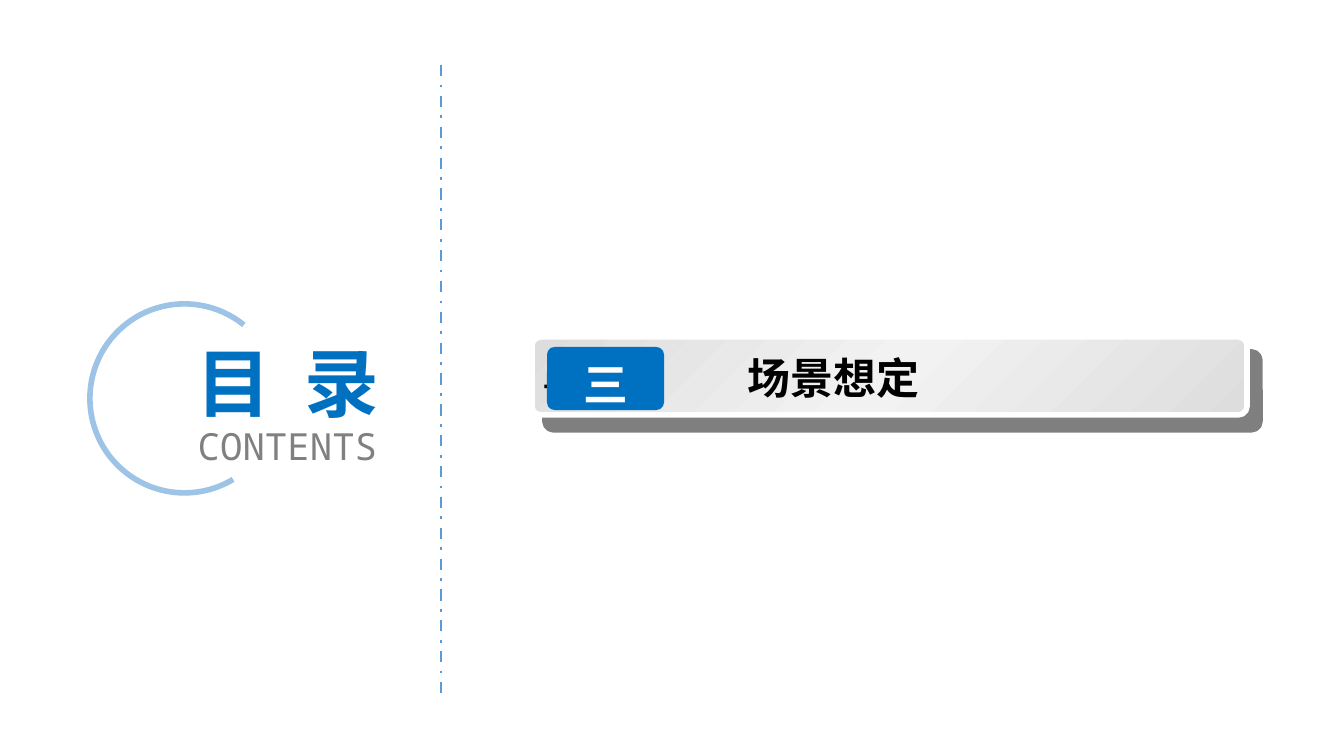
from dataclasses import dataclass

from lxml import etree
from pptx import Presentation
from pptx import util as u
from pptx.dml.color import RGBColor
from pptx.enum import dml, shapes, text
from pptx.oxml import ns

EMU_PER_PX = 914400 / 134.4


@dataclass(frozen=True)
class Theme:
    blue: str = "0070C0"
    arc: str = "9DC3E6"
    divider: str = "5B9BD5"
    grey: str = "808080"
    silver: str = "DDDDDD"
    pale: str = "F2F2F2"
    black: str = "000000"
    white: str = "FFFFFF"
    latin: str = "Calibri"
    mono: str = "Noto Sans Mono"
    cjk: str = "Noto Sans CJK SC"
    heading: int = 40
    badge: int = 24
    section: int = 23
    subheading: int = 20
    small: int = 18


THEME = Theme()


@dataclass(frozen=True)
class Box:
    left: int
    top: int
    width: int
    height: int

    def emu(self) -> list[u.Emu]:
        return [px(n) for n in (self.left, self.top, self.width, self.height)]


@dataclass(frozen=True)
class Style:
    size: int
    color: str
    face: str = THEME.cjk
    bold: bool = True


def px(length: int) -> u.Emu:
    return u.Emu(round(length * EMU_PER_PX))


def rgb(color: str) -> RGBColor:
    return RGBColor.from_string(color)


def apply(target, values: dict) -> None:
    for name, value in values.items():
        setattr(target, name, value)


def child(parent, tag: str, **attributes):
    return etree.SubElement(parent, ns.qn(tag), **attributes)


def write(paragraph, words: str, style: Style, **layout):
    """Add one styled run and set the paragraph's layout."""
    apply(paragraph, layout)
    run = paragraph.add_run()
    run.text = words
    apply(run.font, {"size": u.Pt(style.size), "bold": style.bold, "name": style.face})
    run.font.color.rgb = rgb(style.color)
    child(run.font._element, "a:ea", typeface=THEME.cjk)
    return run


def frame_text(shape, insets: tuple[int, int, int, int], wrap: bool, fit=text.MSO_AUTO_SIZE.NONE):
    """Set insets (left, top, right, bottom) and return the first paragraph."""
    sides = ("margin_left", "margin_top", "margin_right", "margin_bottom")
    frame = shape.text_frame
    apply(frame, dict(zip(sides, map(px, insets))))
    apply(frame, {"word_wrap": wrap, "auto_size": fit,
                  "vertical_anchor": text.MSO_ANCHOR.MIDDLE})
    return frame.paragraphs[0]


def add_preset(slide, kind, box: Box, adjustments: list[float]):
    shape = slide.shapes.add_shape(kind, *box.emu())
    for index, value in enumerate(adjustments):
        shape.adjustments[index] = value
    shape.shadow.inherit = False
    return shape


def add_divider(slide, x: int, top: int, bottom: int) -> None:
    divider = slide.shapes.add_connector(
        shapes.MSO_CONNECTOR.STRAIGHT, px(x), px(top), px(x), px(bottom))
    apply(divider.line, {"width": u.Pt(1.5), "dash_style": dml.MSO_LINE.DASH_DOT})
    divider.line.color.rgb = rgb(THEME.divider)
    child(divider._element.spPr, "a:effectLst")


def paint_metal(bar) -> None:
    """Give the bar its silver sheen, white rim and hard offset shadow."""
    bar.fill.gradient()
    bar.fill.gradient_angle = 315
    properties = bar._element.spPr
    stops = properties.find(".//" + ns.qn("a:gsLst"))
    for stop in list(stops):
        stops.remove(stop)
    for percent, color in ((0, THEME.silver), (50, THEME.pale), (100, THEME.silver)):
        child(child(stops, "a:gs", pos=str(percent * 1000)), "a:srgbClr", val=color)
    bar.line.color.rgb = rgb(THEME.white)
    bar.line.width = u.Pt(3)
    shadow = child(properties.find(ns.qn("a:effectLst")), "a:outerShdw", blurRad="0",
                   dist=str(u.Pt(10.6)), dir=str(49 * 60000), algn="ctr", rotWithShape="0")
    child(child(shadow, "a:srgbClr", val=THEME.black), "a:alpha", val="50000")


def add_contents_heading(slide) -> None:
    title = slide.shapes.title
    apply(title, dict(zip(("left", "top", "width", "height"), Box(113, 305, 349, 206).emu())))
    chinese = frame_text(title, (13, 7, 13, 7), True)
    layout = {"alignment": text.PP_ALIGN.CENTER, "line_spacing": 0.9, "space_before": u.Pt(0)}
    heading = Style(THEME.heading, THEME.blue, THEME.latin)
    write(chinese, "目", heading, **layout)
    gap = write(chinese, " ", heading)
    gap.font._element.set("spc", "900")
    write(chinese, "录", heading)
    write(title.text_frame.add_paragraph(), "CONTENTS",
          Style(THEME.subheading, THEME.grey, THEME.mono, False), **layout)

    # Open ring; arc angles are stored in units of 5/3 degree
    ring = add_preset(slide, shapes.MSO_SHAPE.ARC, Box(90, 304, 189, 189),
                      [59 * 0.6, 309 * 0.6])
    ring.fill.background()
    ring.line.color.rgb = rgb(THEME.arc)
    ring.line.width = u.Pt(3)


def add_section(slide, numeral: str, name: str) -> None:
    rounded = shapes.MSO_SHAPE.ROUNDED_RECTANGLE

    # Silver bar, with its plus sign mostly behind the badge
    bar = add_preset(slide, rounded, Box(532, 337, 715, 78), [0.11])
    paint_metal(bar)
    write(frame_text(bar, (9, 5, 9, 5), False), "+", Style(THEME.small, THEME.black),
          alignment=text.PP_ALIGN.LEFT, line_spacing=1.5)

    # Number badge
    badge = add_preset(slide, rounded, Box(547, 347, 117, 63), [0.12])
    badge.fill.solid()
    badge.fill.fore_color.rgb = rgb(THEME.blue)
    badge.line.fill.background()
    write(frame_text(badge, (9, 0, 9, 16), False), numeral, Style(THEME.badge, THEME.white),
          alignment=text.PP_ALIGN.CENTER, line_spacing=1.5)

    # Section name
    label = slide.shapes.add_textbox(*Box(739, 348, 489, 60).emu())
    write(frame_text(label, (9, 5, 9, 5), True, text.MSO_AUTO_SIZE.SHAPE_TO_FIT_TEXT),
          name, Style(THEME.section, THEME.black), line_spacing=u.Pt(27))


def main() -> None:
    deck = Presentation()
    apply(deck, {"slide_width": px(1344), "slide_height": px(756)})
    slide = deck.slides.add_slide(deck.slide_layouts[5])
    add_contents_heading(slide)
    add_divider(slide, 441, 65, 699)
    add_section(slide, "三", "场景想定")
    deck.save("out.pptx")


if __name__ == "__main__":
    main()
